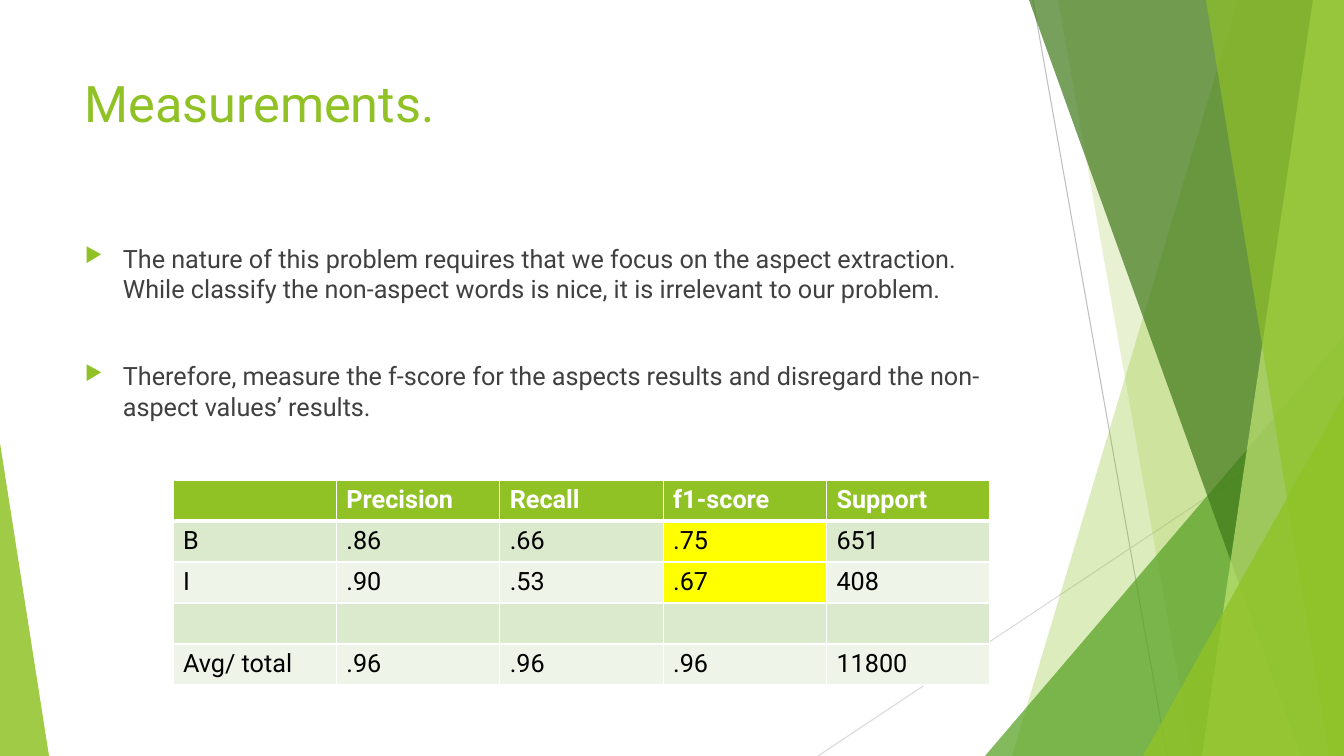
from dataclasses import dataclass

from lxml import etree
from pptx import Presentation
from pptx.dml.color import RGBColor
from pptx.enum.shapes import MSO_CONNECTOR, MSO_SHAPE
from pptx.enum.text import MSO_ANCHOR
from pptx.oxml.ns import qn
from pptx.util import Emu, Pt

STRAIGHT = MSO_CONNECTOR.STRAIGHT
TRIANGLE = MSO_SHAPE.ISOSCELES_TRIANGLE
TOP = MSO_ANCHOR.TOP

SLIDE_W, SLIDE_H = 1344, 756
EMU_PER_PX = 12192000 / SLIDE_W
FONT = "Roboto"
COLORS = {
    "white": "FFFFFF", "black": "000000", "body": "404040",
    "green": "90C226", "leaf": "54A021", "forest": "3F7819", "lime": "C0E474",
    "line_dark": "BFBFBF", "line_light": "D9D9D9",
    "band_dark": "DBE9CD", "band_light": "EEF4E8", "highlight": "FFFF00",
}


@dataclass(frozen=True)
class Ray:
    start: tuple[int, int]
    end: tuple[int, int]
    color: str


@dataclass(frozen=True)
class Band:
    """Slanted band that runs from the top to the bottom at the right edge."""
    top_x: int
    bottom_x: int
    color: str
    alpha: int


@dataclass(frozen=True)
class Wedge:
    """Right-angled triangle standing on the bottom edge."""
    left: int
    top: int
    width: int
    apex: float
    color: str
    alpha: int


RAYS = [
    Ray((1033, 0), (1167, SLIDE_H), "line_dark"),
    Ray((SLIDE_W, 406), (818, SLIDE_H), "line_light"),
]
FACETS = [
    Band(1238, 1012, "green", 30),
    Band(1058, 1192, "green", 20),
    Wedge(985, 336, 359, 1, "leaf", 72),
    Band(1029, 1301, "forest", 70),
    Band(1313, 1202, "lime", 70),
    Band(1206, 1329, "green", 65),
    Wedge(1143, 396, 201, 1, "green", 80),
    Wedge(0, 443, 49, 0, "green", 85),
]
BULLETS = [
    "The nature of this problem requires that we focus on the aspect extraction. "
    "While classify the non-aspect words is nice, it is irrelevant to our problem.",
    "Therefore, measure the f-score for the aspects results and disregard the "
    "non-aspect values’ results.",
]
SCORES = [
    ["", "Precision", "Recall", "f1-score", "Support"],
    ["B", ".86", ".66", ".75", "651"],
    ["I", ".90", ".53", ".67", "408"],
    ["", "", "", "", ""],
    ["Avg/ total", ".96", ".96", ".96", "11800"],
]
HIGHLIGHTED = {(1, 3), (2, 3)}


def px(length: int) -> Emu:
    return Emu(round(length * EMU_PER_PX))


def rgb(color: str) -> RGBColor:
    return RGBColor.from_string(COLORS[color])


def write(paragraph, text: str, *, size: int, color: str, bold: bool = False) -> None:
    font = paragraph.font
    if text:
        run = paragraph.add_run()
        run.text = text
        font = run.font
    font.name, font.size, font.bold = FONT, Pt(size), bold
    font.color.rgb = rgb(color)


def add_text_frame(slide, left: int, top: int, width: int, height: int):
    frame = slide.shapes.add_textbox(px(left), px(top), px(width), px(height)).text_frame
    frame.word_wrap = True
    frame.vertical_anchor = TOP
    return frame


def draw_ray(slide, ray: Ray) -> None:
    line = slide.shapes.add_connector(STRAIGHT, *map(px, ray.start + ray.end))
    line.line.color.rgb = rgb(ray.color)
    line.line.width = Pt(0.75)
    etree.SubElement(line._element.spPr, qn("a:effectLst"))


def draw_facet(slide, facet: Band | Wedge) -> None:
    if isinstance(facet, Band):
        outline = slide.shapes.build_freeform(facet.top_x, 0, scale=EMU_PER_PX)
        outline.add_line_segments(
            [(SLIDE_W, 0), (SLIDE_W, SLIDE_H), (facet.bottom_x, SLIDE_H)], close=True)
        shape = outline.convert_to_shape()
    else:
        shape = slide.shapes.add_shape(
            TRIANGLE, px(facet.left), px(facet.top),
            px(facet.width), px(SLIDE_H - facet.top))
        shape.adjustments[0] = facet.apex
    shape.shadow.inherit = False
    shape.line.fill.background()
    shape.fill.solid()
    shape.fill.fore_color.rgb = rgb(facet.color)
    color_node = shape._element.spPr.find(f".//{qn('a:srgbClr')}")
    etree.SubElement(color_node, qn("a:alpha"), val=str(facet.alpha * 1000))


def add_bullet(paragraph) -> None:
    props = paragraph._p.get_or_add_pPr()
    indent = px(38)
    props.set("marL", str(indent))
    props.set("indent", str(-indent))
    bullet_color = etree.SubElement(props, qn("a:buClr"))
    etree.SubElement(bullet_color, qn("a:srgbClr"), val=COLORS["green"])
    etree.SubElement(props, qn("a:buSzPct"), val="80000")
    etree.SubElement(props, qn("a:buChar"), char="▶")


def set_borders(cell, row: int) -> None:
    props = cell._tc.get_or_add_tcPr()
    thick_side = {0: "B", 1: "T"}.get(row)
    for side in "LRTB":
        width = Pt(3 if side == thick_side else 1)
        border = etree.SubElement(props, qn(f"a:ln{side}"), w=str(width))
        fill = etree.SubElement(border, qn("a:solidFill"))
        etree.SubElement(fill, qn("a:srgbClr"), val=COLORS["white"])


def cell_color(row: int, column: int) -> str:
    if row == 0:
        return "green"
    if (row, column) in HIGHLIGHTED:
        return "highlight"
    return "band_dark" if row % 2 else "band_light"


def draw_scores(slide) -> None:
    table = slide.shapes.add_table(
        len(SCORES), len(SCORES[0]), px(173), px(480), px(817), px(205)).table
    for r, values in enumerate(SCORES):
        for c, value in enumerate(values):
            cell = table.cell(r, c)
            set_borders(cell, r)
            cell.fill.solid()
            cell.fill.fore_color.rgb = rgb(cell_color(r, c))
            write(cell.text_frame.paragraphs[0], value, size=18,
                  color="black" if r else "white", bold=r == 0)


def main() -> None:
    deck = Presentation()
    deck.slide_width, deck.slide_height = px(SLIDE_W), px(SLIDE_H)
    slide = deck.slides.add_slide(deck.slide_layouts[6])

    # Background facets
    for ray in RAYS:
        draw_ray(slide, ray)
    for facet in FACETS:
        draw_facet(slide, facet)

    # Bulleted argument
    body = add_text_frame(slide, 75, 238, 948, 194)
    for i, text in enumerate(BULLETS):
        paragraph = body.add_paragraph() if i else body.paragraphs[0]
        paragraph.space_before = Pt(41 if i else 0)
        add_bullet(paragraph)
        write(paragraph, text, size=18, color="body")

    # Title
    title = add_text_frame(slide, 75, 67, 948, 145)
    write(title.paragraphs[0], "Measurements.", size=36, color="green")

    # Score table
    draw_scores(slide)
    deck.save("out.pptx")


if __name__ == "__main__":
    main()
